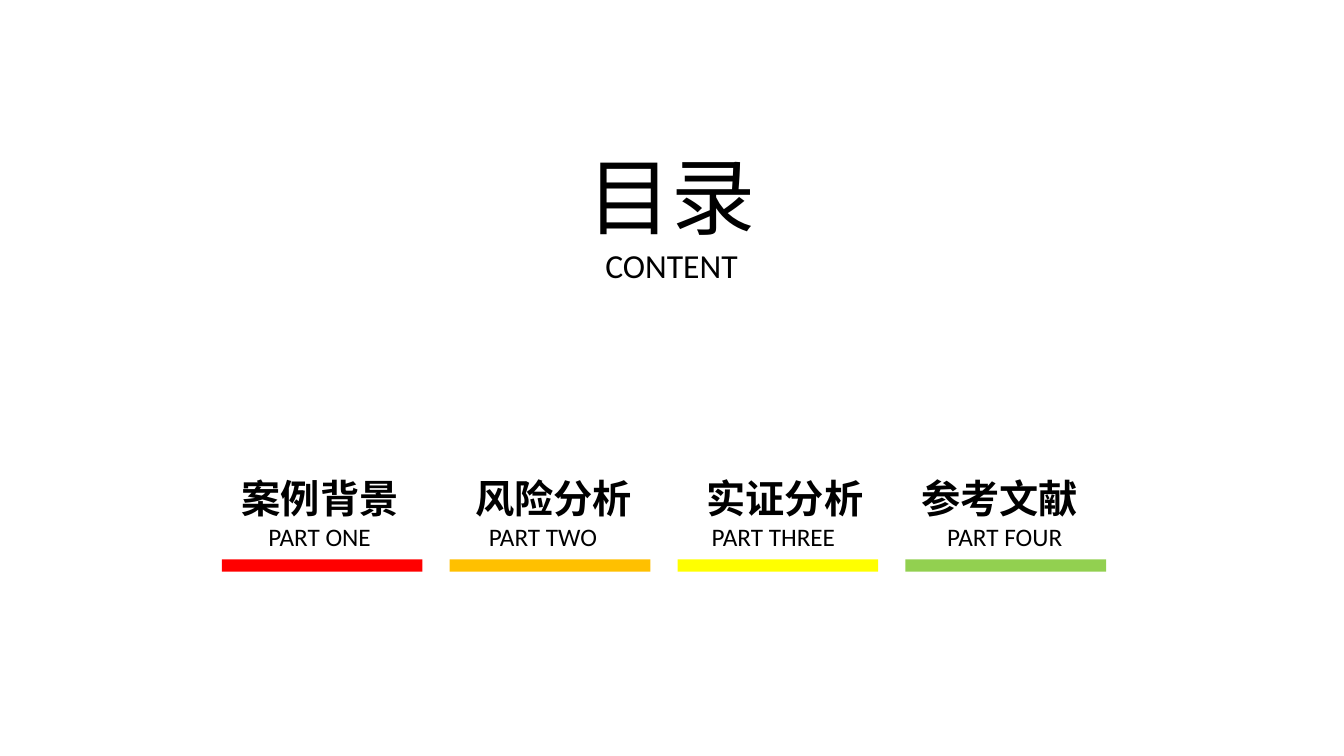
from pptx import Presentation
from pptx.dml.color import RGBColor
from pptx.enum.shapes import MSO_SHAPE
from pptx.enum.text import MSO_ANCHOR, MSO_AUTO_SIZE, PP_ALIGN
from pptx.util import Inches, Pt

RECT = MSO_SHAPE.RECTANGLE
TOP = MSO_ANCHOR.TOP
GROW = MSO_AUTO_SIZE.SHAPE_TO_FIT_TEXT
CENTER = PP_ALIGN.CENTER

FONT = "Calibri"
COLORS = {
    "text": "000000",
    "red": "FF0000",
    "amber": "FFC000",
    "yellow": "FFFF00",
    "green": "92D050",
}

# Name, label, bar colour, then (shift from bar, width) of name and label
PARTS = [
    ("案例背景", "PART ONE", "red", (-0.09, 2.13), (0.08, 1.78)),
    ("风险分析", "PART TWO", "amber", (0.07, 1.92), (-0.04, 1.93)),
    ("实证分析", "PART THREE", "yellow", (0, 2.13), (-0.09, 2.08)),
    ("参考文献", "PART FOUR", "green", (-0.13, 2.13), (0.13, 1.71)),
]


def color(key):
    return RGBColor.from_string(COLORS[key])


def add_run(para, text, size, bold=False):
    para.alignment = CENTER
    run = para.add_run()
    run.text = text
    font = run.font
    font.name, font.size, font.bold = FONT, Pt(size), bold
    font.color.rgb = color("text")


def set_frame(frame, wrap):
    frame.word_wrap = wrap
    frame.auto_size = GROW
    frame.vertical_anchor = TOP


def add_title(slide, left, top, width, height):
    title = slide.shapes.title
    title.left, title.top = Inches(left), Inches(top)
    title.width, title.height = Inches(width), Inches(height)
    frame = title.text_frame
    set_frame(frame, False)
    add_run(frame.paragraphs[0], "目录", 60)
    add_run(frame.add_paragraph(), "CONTENT", 24)


def add_label(shapes, text, size, bold, left, top, width, height):
    box = shapes.add_textbox(
        Inches(left), Inches(top), Inches(width), Inches(height))
    set_frame(box.text_frame, True)
    para = box.text_frame.paragraphs[0]
    para.line_spacing = 1.3
    add_run(para, text, size, bold)


def add_part(shapes, part, left, top, width):
    name, label, key, (name_dx, name_w), (label_dx, label_w) = part
    add_label(shapes, label, 18, False, left + label_dx, top + 0.51, label_w, 0.49)
    add_label(shapes, name, 28, True, left + name_dx, top, name_w, 0.71)
    # Colour bar
    bar = shapes.add_shape(
        RECT, Inches(left), Inches(top + 1.03), Inches(width), Inches(0.12))
    bar.shadow.inherit = False
    bar.fill.solid()
    bar.fill.fore_color.rgb = color(key)
    bar.line.fill.background()


def add_parts(slide, left, top, width, gap):
    group = slide.shapes.add_group_shape()
    for i, part in enumerate(PARTS):
        add_part(group.shapes, part, left + i * (width + gap), top, width)


def main():
    prs = Presentation()
    prs.slide_width, prs.slide_height = Inches(13.33), Inches(7.5)
    slide = prs.slides.add_slide(prs.slide_layouts.get_by_name("Title Only"))
    add_title(slide, 5.72, 1.38, 1.88, 1.51)
    add_parts(slide, 2.2, 4.52, 1.99, 0.27)
    prs.save("out.pptx")


if __name__ == "__main__":
    main()
